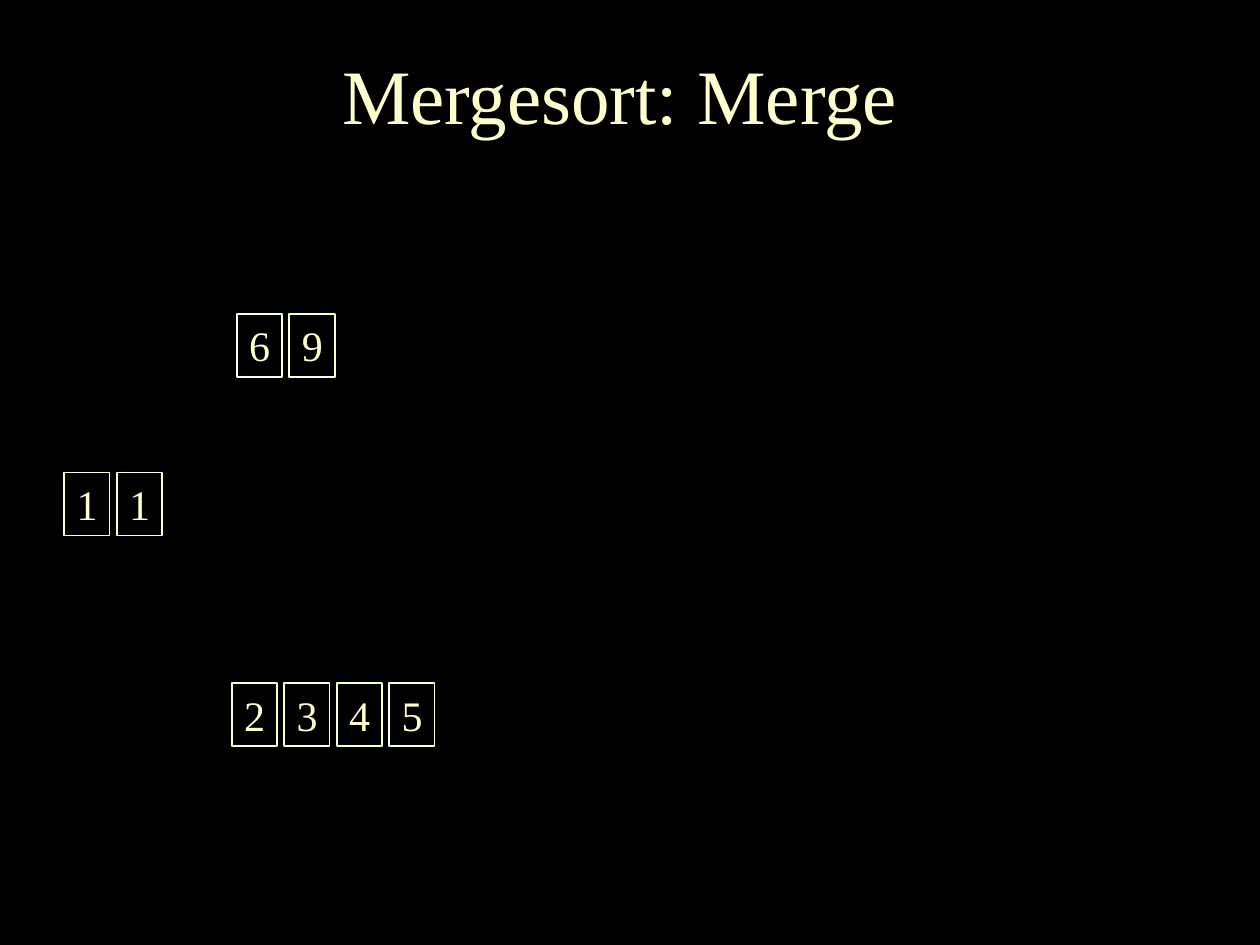
from dataclasses import dataclass

from pptx import Presentation
from pptx.dml.color import RGBColor
from pptx.enum.dml import MSO_FILL
from pptx.enum.shapes import MSO_SHAPE
from pptx.enum.text import MSO_ANCHOR, MSO_AUTO_SIZE, PP_ALIGN
from pptx.util import Inches, Pt

RECTANGLE = MSO_SHAPE.RECTANGLE
MIDDLE, TOP = MSO_ANCHOR.MIDDLE, MSO_ANCHOR.TOP
CENTER, LEFT = PP_ALIGN.CENTER, PP_ALIGN.LEFT
GROW = MSO_AUTO_SIZE.SHAPE_TO_FIT_TEXT

SLIDE_WIDTH, SLIDE_HEIGHT = Inches(10), Inches(7.5)
CELL_PITCH = SLIDE_WIDTH / 24
CELL_WIDTH, CELL_HEIGHT = Inches(0.36), Inches(0.5)


@dataclass(frozen=True)
class Theme:
    background: RGBColor = RGBColor(0x00, 0x00, 0x00)
    ink: RGBColor = RGBColor(0xFF, 0xFF, 0xCC)
    font: str = "Times New Roman"
    title_size: Pt = Pt(44)
    value_size: Pt = Pt(24)
    outline: Pt = Pt(1)


@dataclass(frozen=True)
class Run:
    """A row of sorted values; left and top are shares of the slide's size."""
    left: float
    top: float
    values: tuple[int, ...]


THEME = Theme()
MERGED = Run(0.051, 0.5, (1, 1))
UPPER_HALF = Run(0.188, 0.332, (6, 9))
LOWER_HALF = Run(0.184, 0.7227, (2, 3, 4, 5))


def write(shape, text: str, size: Pt, align, anchor, wrap: bool) -> None:
    frame = shape.text_frame
    frame_format = {"word_wrap": wrap, "auto_size": GROW, "vertical_anchor": anchor}
    for attribute, value in frame_format.items():
        setattr(frame, attribute, value)
    paragraph = frame.paragraphs[0]
    paragraph.text = text
    paragraph.alignment = align
    for attribute, value in {"name": THEME.font, "size": size}.items():
        setattr(paragraph.font, attribute, value)
    paragraph.font.color.rgb = THEME.ink


def draw_title(slide, text: str) -> None:
    title = slide.shapes.add_textbox(
        Inches(0.06), Inches(0.33), Inches(9.72), Inches(0.83))
    write(title, text, THEME.title_size, CENTER, MIDDLE, True)


def draw_run(slide, run: Run) -> None:
    for column, value in enumerate(run.values):
        left = round(run.left * SLIDE_WIDTH + column * CELL_PITCH)
        top = round(run.top * SLIDE_HEIGHT)
        cell = slide.shapes.add_shape(RECTANGLE, left, top, CELL_WIDTH, CELL_HEIGHT)
        cell.shadow.inherit = False
        cell.fill.background()
        cell.line.color.rgb = THEME.ink
        cell.line.width = THEME.outline
        write(cell, str(value), THEME.value_size, LEFT, TOP, False)


def main() -> None:
    deck = Presentation()
    deck.slide_width, deck.slide_height = SLIDE_WIDTH, SLIDE_HEIGHT
    slide = deck.slides.add_slide(deck.slide_layouts[6])
    slide.background.fill.solid()
    slide.background.fill.fore_color.rgb = THEME.background
    draw_title(slide, "Mergesort: Merge")
    for run in (UPPER_HALF, MERGED, LOWER_HALF):
        draw_run(slide, run)
    deck.save("out.pptx")


if __name__ == "__main__":
    main()
